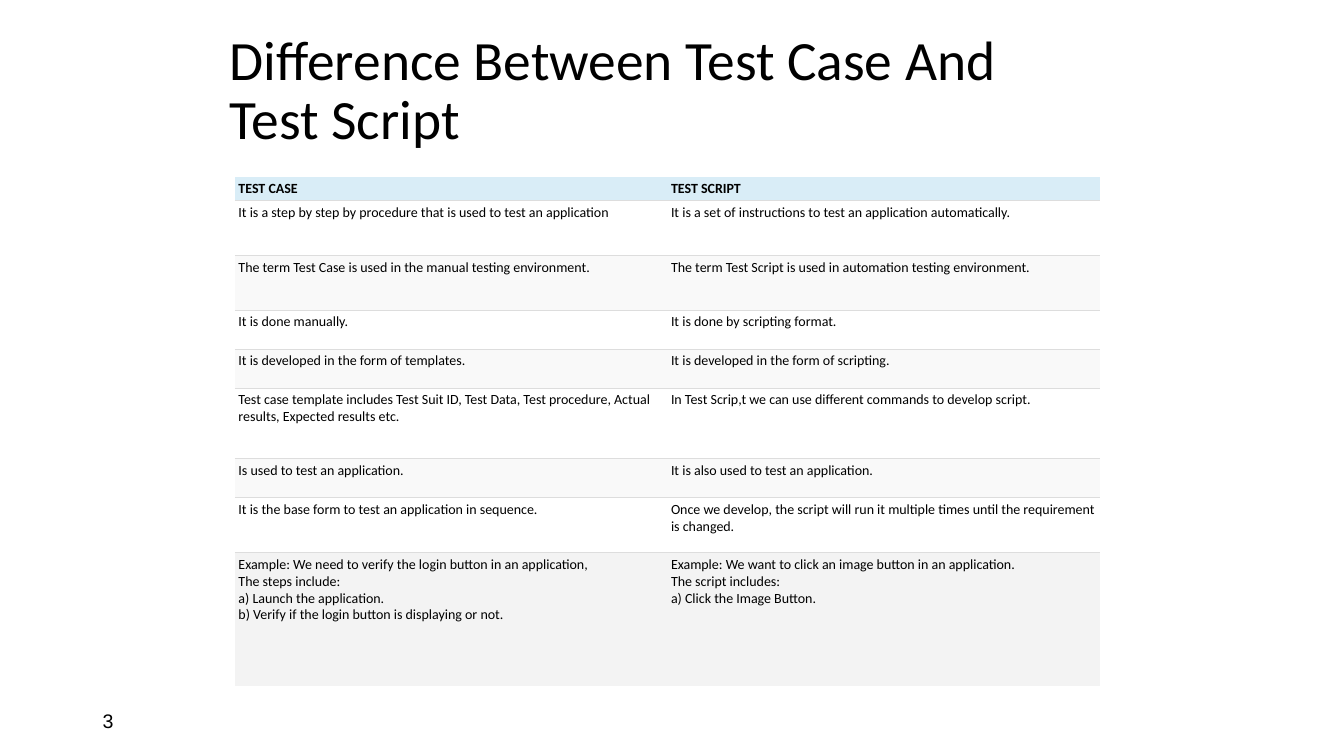
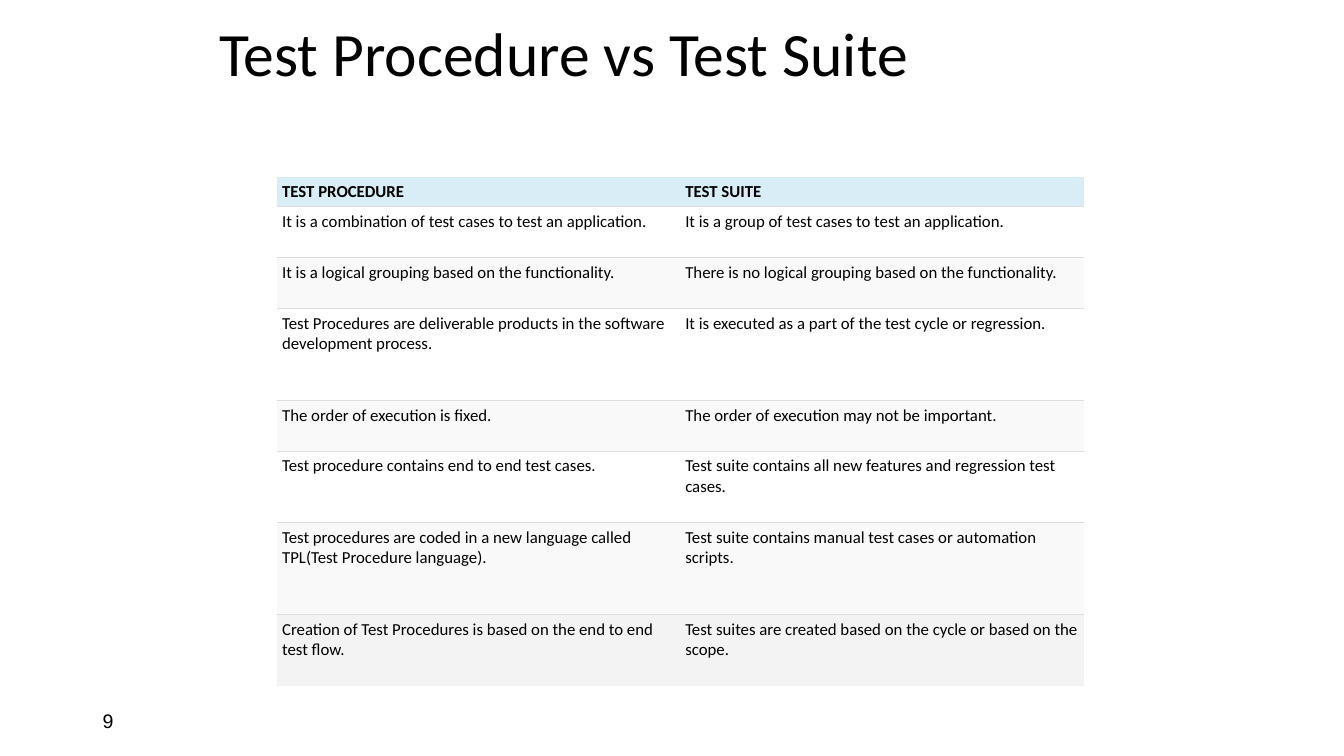
from dataclasses import dataclass

from lxml.etree import SubElement
from pptx import Presentation
from pptx.dml.color import RGBColor
from pptx.enum.text import MSO_ANCHOR as Anchor
from pptx.oxml.ns import qn
from pptx.slide import Slide
from pptx.table import _Cell as Cell
from pptx.text.text import TextFrame as Frame
from pptx.util import Cm, Pt

BLACK = RGBColor(0x00, 0x00, 0x00)
WHITE = RGBColor(0xFF, 0xFF, 0xFF)
HEAD = RGBColor(0xD9, 0xED, 0xF7)
BAND = RGBColor(0xF9, 0xF9, 0xF9)
LAST = RGBColor(0xF3, 0xF3, 0xF3)
RULE = RGBColor(0xDD, 0xDD, 0xDD)

BODY = "Calibri"
PAGE = "Arial"
TABLE_TOP = 4.45


@dataclass(frozen=True)
class Row:
    """One table row; its height is given in text lines."""
    lines: int
    left: str
    right: str


@dataclass(frozen=True)
class Topic:
    """One comparison slide; lengths are in centimetres, sizes in points."""
    page: str
    title: str
    title_left: float
    title_top: float
    title_size: float
    left: float
    col: float
    size: float
    pitch: float
    pad: float
    rows: tuple[Row, ...]


TOPICS = (
    Topic("3", "Difference Between Test Case And Test Script", 5.54, 1.22, 39.6,
          left=5.92, col=10.9, size=10, pitch=0.4, pad=0.09, rows=(
        Row(1, "TEST CASE", "TEST SCRIPT"),
        Row(3, "It is a step by step by procedure that is used to test an application",
            "It is a set of instructions to test an application automatically."),
        Row(3, "The term Test Case is used in the manual testing environment.",
            "The term Test Script is used in automation testing environment."),
        Row(2, "It is done manually.", "It is done by scripting format."),
        Row(2, "It is developed in the form of templates.",
            "It is developed in the form of scripting."),
        Row(4, "Test case template includes Test Suit ID, Test Data, Test procedure, "
               "Actual results, Expected results etc.",
            "In Test Scrip,t we can use different commands to develop script."),
        Row(2, "Is used to test an application.",
            "It is also used to test an application."),
        Row(3, "It is the base form to test an application in sequence.",
            "Once we develop, the script will run it multiple times until the "
            "requirement is changed."),
        Row(8, "Example: We need to verify the login button in an application,\n"
               "The steps include:\n"
               "a) Launch the application.\n"
               "b) Verify if the login button is displaying or not.",
            "Example: We want to click an image button in an application.\n"
            "The script includes:\n"
            "a) Click the Image Button."),
    )),
    Topic("9", "Test Procedure vs Test Suite", 5.28, 0.33, 44,
          left=6.99, col=10.16, size=12, pitch=0.52, pad=0.12, rows=(
        Row(1, "TEST PROCEDURE", "TEST SUITE"),
        Row(2, "It is a combination of test cases to test an application.",
            "It is a group of test cases to test an application."),
        Row(2, "It is a logical grouping based on the functionality.",
            "There is no logical grouping based on the functionality."),
        Row(4, "Test Procedures are deliverable products in the software "
               "development process.",
            "It is executed as a part of the test cycle or regression."),
        Row(2, "The order of execution is fixed.",
            "The order of execution may not be important."),
        Row(3, "Test procedure contains end to end test cases.",
            "Test suite contains all new features and regression test cases."),
        Row(4, "Test procedures are coded in a new language called "
               "TPL(Test Procedure language).",
            "Test suite contains manual test cases or automation scripts."),
        Row(3, "Creation of Test Procedures is based on the end to end test flow.",
            "Test suites are created based on the cycle or based on the scope."),
    )),
)


def write(frame: Frame, text: str, size: float, font: str = BODY,
          bold: bool = False, space: float = 1.0) -> None:
    """Fill the first paragraph, one run for each line of text."""
    para = frame.paragraphs[0]
    para.line_spacing = space
    for i, line in enumerate(text.split("\n")):
        if i:
            para.add_line_break()
        run = para.add_run()
        run.text = line
        run.font.name = font
        run.font.size = Pt(size)
        run.font.bold = bold
        run.font.color.rgb = BLACK


def add_text(slide: Slide, left: float, top: float, width: float, height: float,
             text: str, size: float, font: str = BODY, space: float = 1.0) -> None:
    box = slide.shapes.add_textbox(Cm(left), Cm(top), Cm(width), Cm(height))
    frame = box.text_frame
    frame.word_wrap = True
    frame.vertical_anchor = Anchor.MIDDLE
    write(frame, text, size, font, space=space)


def set_rules(cell: Cell, above: bool, below: bool) -> None:
    """Draw the chosen horizontal borders and clear the other sides."""
    props = cell._tc.get_or_add_tcPr()
    sides = {"L": False, "R": False, "T": above, "B": below}
    for side, shown in sides.items():
        line = SubElement(props, qn(f"a:ln{side}"), w=str(Pt(0.6)))
        if shown:
            fill = SubElement(line, qn("a:solidFill"))
            SubElement(fill, qn("a:srgbClr"), val=str(RULE))
        else:
            SubElement(line, qn("a:noFill"))


def row_fill(index: int, end: int) -> RGBColor:
    if index == 0:
        return HEAD
    if index == end:
        return LAST
    return WHITE if index % 2 else BAND


def add_grid(slide: Slide, topic: Topic) -> None:
    heights = [Cm(row.lines * topic.pitch + 2 * topic.pad) for row in topic.rows]
    grid = slide.shapes.add_table(
        len(topic.rows), 2, Cm(topic.left), Cm(TABLE_TOP),
        Cm(2 * topic.col), sum(heights)).table
    for col in grid.columns:
        col.width = Cm(topic.col)
    end = len(topic.rows) - 1
    for i, row in enumerate(topic.rows):
        grid.rows[i].height = heights[i]
        for j, text in enumerate((row.left, row.right)):
            cell = grid.cell(i, j)
            cell.margin_left = cell.margin_right = Cm(topic.pad)
            cell.margin_top = cell.margin_bottom = Cm(topic.pad)
            cell.vertical_anchor = Anchor.TOP if i else Anchor.MIDDLE
            set_rules(cell, above=i > 0, below=i < end)
            cell.fill.solid()
            cell.fill.fore_color.rgb = row_fill(i, end)
            write(cell.text_frame, text, topic.size, bold=i == 0)


def main() -> None:
    deck = Presentation()
    deck.slide_width, deck.slide_height = Cm(33.87), Cm(19.05)
    blank = deck.slide_layouts[6]
    for topic in TOPICS:
        slide = deck.slides.add_slide(blank)
        add_text(slide, 2.34, 17.65, 7.62, 1.02, topic.page, 14, PAGE)
        add_text(slide, topic.title_left, topic.title_top, 21.59, 2.2,
                 topic.title, topic.title_size, space=0.9)
        add_grid(slide, topic)
    deck.save("out.pptx")


if __name__ == "__main__":
    main()
